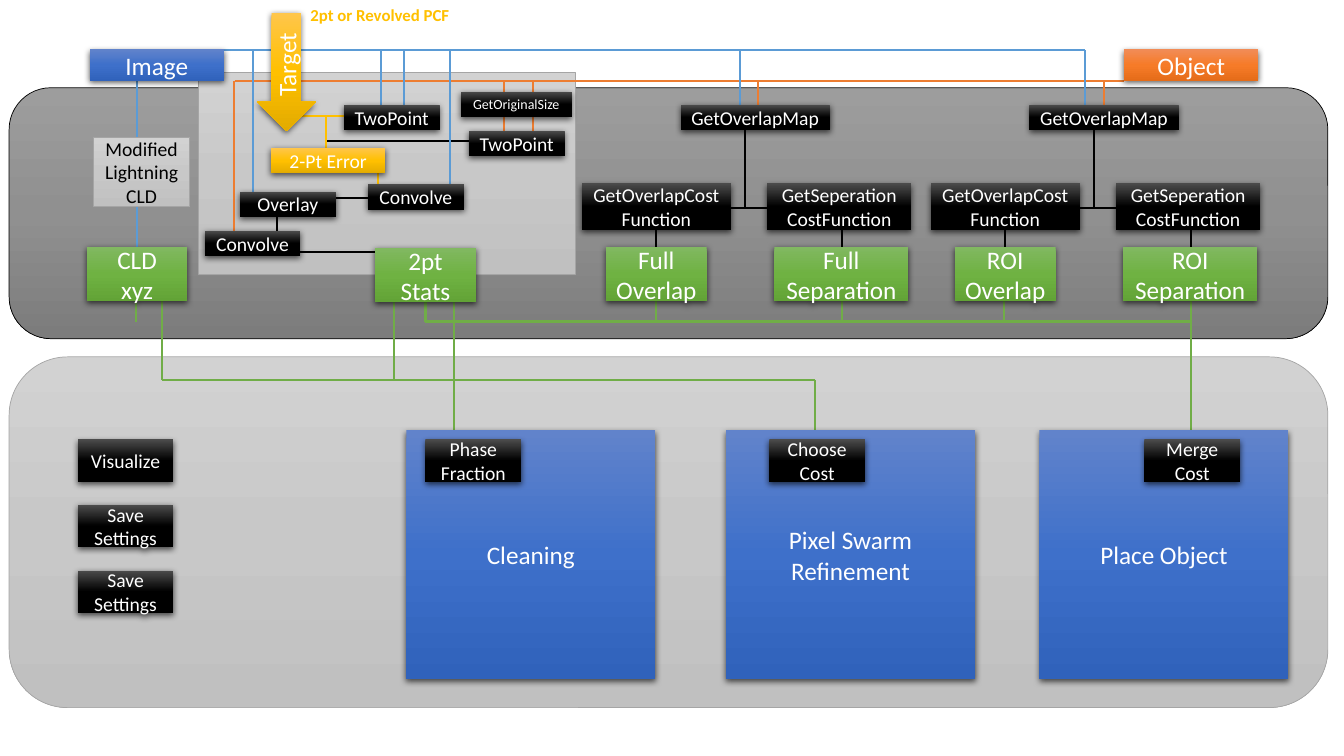
"""Build a slide that maps image and object inputs to cost functions and steps."""
from copy import deepcopy

from pptx import Presentation
from pptx.dml.color import RGBColor
from pptx.enum.shapes import MSO_CONNECTOR, MSO_SHAPE
from pptx.enum.text import MSO_ANCHOR, MSO_AUTO_SIZE, PP_ALIGN
from pptx.oxml.ns import qn
from pptx.util import Inches, Pt
from lxml import etree

RECT, ROUND, ARROW = MSO_SHAPE.RECTANGLE, MSO_SHAPE.ROUNDED_RECTANGLE, MSO_SHAPE.DOWN_ARROW
STRAIGHT = MSO_CONNECTOR.STRAIGHT
MIDDLE, CENTER, FIT = MSO_ANCHOR.MIDDLE, PP_ALIGN.CENTER, MSO_AUTO_SIZE.SHAPE_TO_FIT_TEXT

WHITE, BLACK = RGBColor(255, 255, 255), RGBColor(0, 0, 0)
BLUE, ORANGE = RGBColor(0x5B, 0x9B, 0xD5), RGBColor(0xED, 0x7D, 0x31)
GREEN, GOLD = RGBColor(0x70, 0xAD, 0x47), RGBColor(0xFF, 0xC0, 0x00)
GRAY = RGBColor(0xA5, 0xA5, 0xA5)

TONES = {name: [RGBColor.from_string(code) for code in codes.split()] for name, codes in {
    "light": "D2D2D2 C8C8C8 C0C0C0",
    "dark": "9D9D9D 909090 7C7C7C",
    "blue": "6183CB 3E70CA 3062BB",
    "orange": "F18C57 F67B28 E56C19",
    "green": "81B861 6FB242 62A336",
    "gold": "FFC64B FFC000 E3AB00",
    "black": "4B4B4B 000000 000000",
}.items()}

PANELS = [
    (ROUND, "light", GRAY, (0.09, 3.54, 13.08, 3.48)),
    (ROUND, "dark", BLACK, (0.09, 0.87, 13.08, 2.49)),
    (RECT, "light", GRAY, (1.97, 0.72, 3.74, 2)),
]

# kind: width, height, text size, tone
KINDS = {
    "image": (1.33, 0.31, 18, "blue"),
    "object": (1.33, 0.31, 18, "orange"),
    "goal": (1, 0.54, 18, "green"),
    "wide goal": (1.33, 0.54, 18, "green"),
    "map": (1.48, 0.25, 14, "black"),
    "cost": (1.48, 0.46, 14, "black"),
    "split": (1.43, 0.46, 14, "black"),
    "call": (0.95, 0.25, 14, "black"),
    "size": (1.1, 0.25, 10, "black"),
    "error": (1.13, 0.25, 14, "gold"),
    "step": (2.47, 2.47, 18, "blue"),
    "tool": (0.95, 0.42, 14, "black"),
}
TOP, MAP, COST, GOAL, STEP, TOOL = 0.49, 1.04, 1.82, 2.45, 4.27, 4.36
BUS, RAIL, LINK, TRUNK = 0.5, 0.8, 3.19, 3.77
GAP, SHIFT = 0.65, 3.46

BOXES = [
    ("Image", "image", 0.89, TOP),
    ("Object", "object", 11.15, TOP),
    ("TwoPoint", "call", 3.41, MAP),
    ("TwoPoint", "call", 4.65, 1.3),
    ("GetOriginalSize", "size", 4.57, 0.91),
    ("2-Pt Error", "error", 2.69, 1.47),
    ("Convolve", "call", 3.65, 1.83),
    ("2pt Stats", "goal", 3.72, GOAL + 0.01),
    ("Overlay", "call", 2.38, 1.9),
    ("Convolve", "call", 2.03, 2.29),
    ("CLD\vxyz", "goal", 0.86, GOAL),
    ("Place Object", "step", 10.31, STEP),
    ("Merge Cost", "tool", 11.35, TOOL),
    ("Pixel Swarm Refinement", "step", 7.2, STEP),
    ("Choose Cost", "tool", 7.63, TOOL),
    ("Cleaning", "step", 4.03, STEP),
    ("Phase Fraction", "tool", 4.22, TOOL),
]
SIDE = ["Visualize", "Save Settings", "Save Settings"]
BRANCH = [("Overlap", "goal", 6.01), ("Separation", "wide goal", 7.68)]
AREAS = ["Full", "ROI"]

WIRES = [
    (BLUE, [(1.36, 0.75), (1.36, 2.65)]),
    (BLUE, [(2.22, BUS), (10.76, BUS)]),
    (ORANGE, [(2.33, RAIL), (11.15, RAIL)]),
    (ORANGE, [(2.32, RAIL), (2.32, 2.36)]),
    (BLACK, [(2.72, 2.5), (4.18, 2.5)]),
    (BLACK, [(2.72, 1.96), (4.18, 1.96)]),
    (BLACK, [(3.23, 1.4), (4.7, 1.4)]),
    (BLACK, [(2.75, 2.3), (2.75, 2.11)]),
    (GOLD, [(3.75, 2.08), (3.75, 1.49)]),
    (GOLD, [(3.23, 1.63), (3.23, 1.15), (3.54, 1.15)]),
    (GOLD, [(3.23, 1.15), (2.85, 1.15)]),
    (GREEN, [(4.22, LINK), (11.81, LINK)]),
    (GREEN, [(11.81, LINK), (11.81, TOOL)]),
    (GREEN, [(1.61, 2.99), (1.61, TRUNK)]),
    (GREEN, [(1.61, TRUNK), (8.08, TRUNK)]),
    (GREEN, [(8.08, TRUNK), (8.08, 4.54)]),
    (GREEN, [(3.91, 3), (3.91, TRUNK)]),
    (GREEN, [(4.5, 3), (4.5, 4.54)]),
]
WIRES += [(BLUE, [(x, BUS), (x, y)]) for x, y in
          [(2.51, 2.11), (3.78, 1.18), (4.01, 1.18), (4.46, 1.93), (7.34, 1.18), (10.76, 1.18)]]
WIRES += [(ORANGE, [(x, RAIL), (x, y)]) for x, y in
          [(5, 1.39), (5.29, 1.39), (7.52, 1.16), (10.95, 1.16)]]
WIRES += [(GREEN, [(x, 2.83), (x, LINK)]) for x in (1.35, 4.22, 6.51, 8.35, 9.96, 11.81)]

for row, label in enumerate(SIDE):
    BOXES.append((label, "tool", 0.77, TOOL + row * GAP))
for col, area in enumerate(AREAS):
    dx = col * SHIFT
    BOXES += [(f"{area} {name}", kind, x + dx, GOAL) for name, kind, x in BRANCH]
    BOXES += [
        ("GetOverlapMap", "map", 6.75 + dx, MAP),
        ("GetOverlapCostFunction", "cost", 5.77 + dx, COST),
        ("GetSeperationCostFunction", "split", 7.61 + dx, COST),
    ]
    WIRES += [
        (BLACK, [(7.39 + dx, 1.29), (7.39 + dx, 2.06), (7.09 + dx, 2.06)]),
        (BLACK, [(7.39 + dx, 2.06), (7.79 + dx, 2.06)]),
        (BLACK, [(6.51 + dx, 2.45), (6.51 + dx, 2.26)]),
        (BLACK, [(8.35 + dx, 2.65), (8.35 + dx, 2.15)]),
    ]


def paint(shape, tone):
    fill = shape.fill
    fill.gradient()
    fill.gradient_angle = 270
    stops = shape.element.spPr.find(".//" + qn("a:gsLst"))
    stops.insert(1, deepcopy(stops[0]))
    for place, (stop, color) in enumerate(zip(fill.gradient_stops, TONES[tone])):
        stop.color.rgb = color
        stop.position = place / 2


def shade(shape):
    effects = shape.element.spPr.find(qn("a:effectLst"))
    drop = etree.SubElement(effects, qn("a:outerShdw"), blurRad=str(Pt(4.5)),
                            dist=str(Pt(1.5)), dir="5400000", algn="ctr", rotWithShape="0")
    color = etree.SubElement(drop, qn("a:srgbClr"), val="000000")
    etree.SubElement(color, qn("a:alpha"), val="63000")


def write(shape, text, color, **style):
    frame = shape.text_frame
    frame.text = text
    for para in frame.paragraphs:
        for run in para.runs:
            run.font.color.rgb = color
            for key, value in {"name": "Calibri", **style}.items():
                setattr(run.font, key, value)


def block(shapes, form, tone, at, edge=None, text="", color=WHITE, size=18):
    shape = shapes.add_shape(form, *map(Inches, at))
    paint(shape, tone)
    shape.shadow.inherit = False
    if edge is None:
        shape.line.fill.background()
        shade(shape)
    else:
        shape.line.color.rgb = edge
        shape.line.width = Pt(0.5)
    if text:
        write(shape, text, color, size=Pt(size))
        shape.text_frame.word_wrap = True
        shape.text_frame.vertical_anchor = MIDDLE
        shape.text_frame.paragraphs[0].alignment = CENTER
    return shape


def wire(shapes, color, points):
    spots = [(Inches(x), Inches(y)) for x, y in points]
    if len(spots) == 2:
        line = shapes.add_connector(STRAIGHT, *spots[0], *spots[1])
    else:
        pen = shapes.build_freeform(*spots[0])
        pen.add_line_segments(spots[1:], close=False)
        line = pen.convert_to_shape()
        line.fill.background()
    line.line.color.rgb = color
    line.line.width = Pt(1.5)
    etree.SubElement(line.element.spPr, qn("a:effectLst"))


def main():
    deck = Presentation()
    deck.slide_width, deck.slide_height = Inches(13.33), Inches(7.5)
    shapes = deck.slides.add_slide(deck.slide_layouts[6]).shapes
    for form, tone, edge, at in PANELS:
        block(shapes, form, tone, at, edge)
    for color, points in WIRES:
        wire(shapes, color, points)
    for text, kind, x, y in BOXES:
        wide, high, size, tone = KINDS[kind]
        block(shapes, RECT, tone, (x, y, wide, high), text=text, size=size)
    block(shapes, RECT, "light", (0.93, 1.36, 0.95, 0.69), GRAY,
          "Modified Lightning CLD", BLACK, 14)
    target = block(shapes, ARROW, "gold", (2.55, 0.13, 0.58, 1.17), text="Target")
    target.text_frame._txBody.bodyPr.set("vert", "vert270")
    note = shapes.add_textbox(*map(Inches, (2.98, 0, 1.6, 0.3)))
    write(note, "2pt or Revolved PCF", GOLD, size=Pt(12), bold=True)
    note.text_frame.word_wrap = False
    note.text_frame.auto_size = FIT
    deck.save("out.pptx")


if __name__ == "__main__":
    main()
